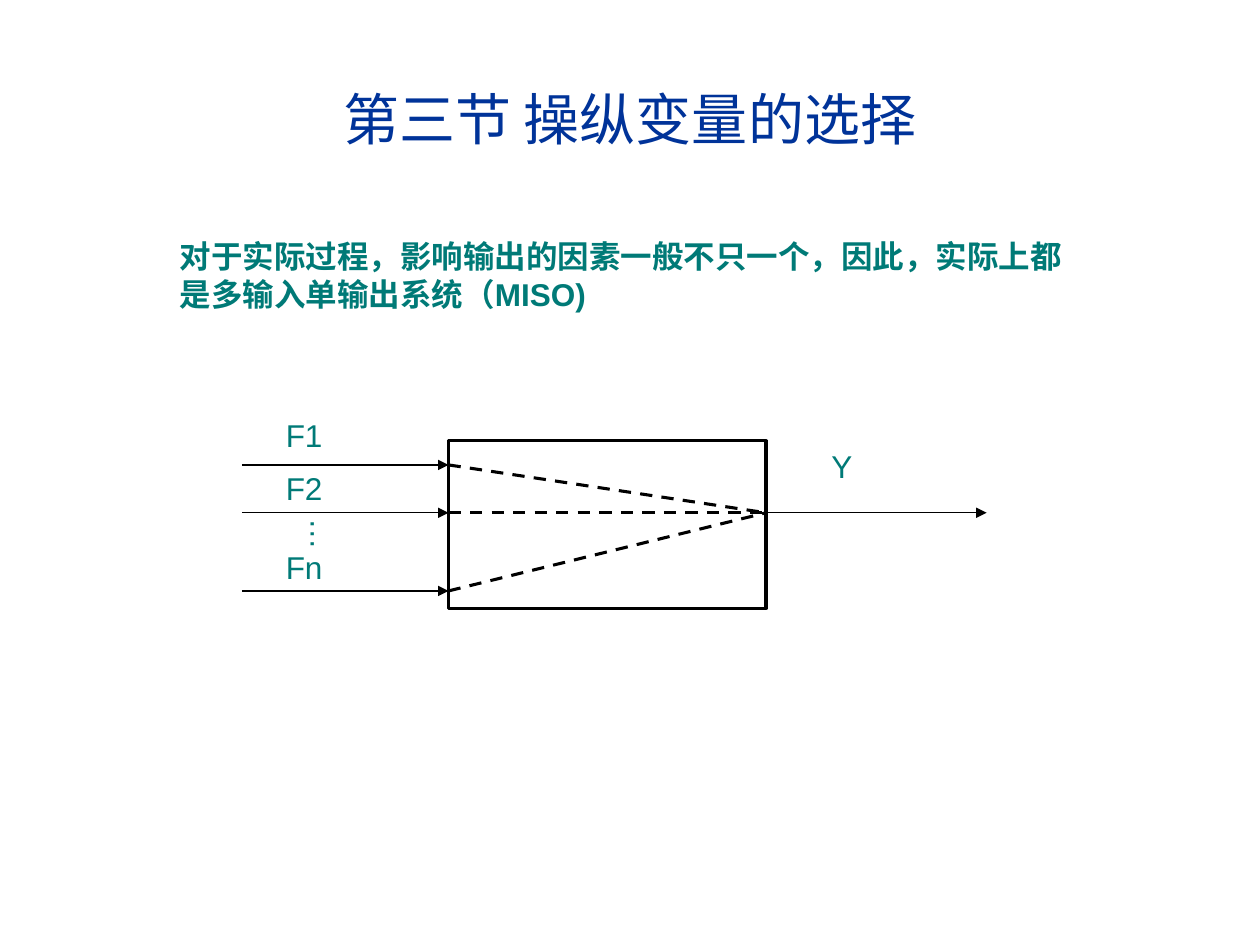
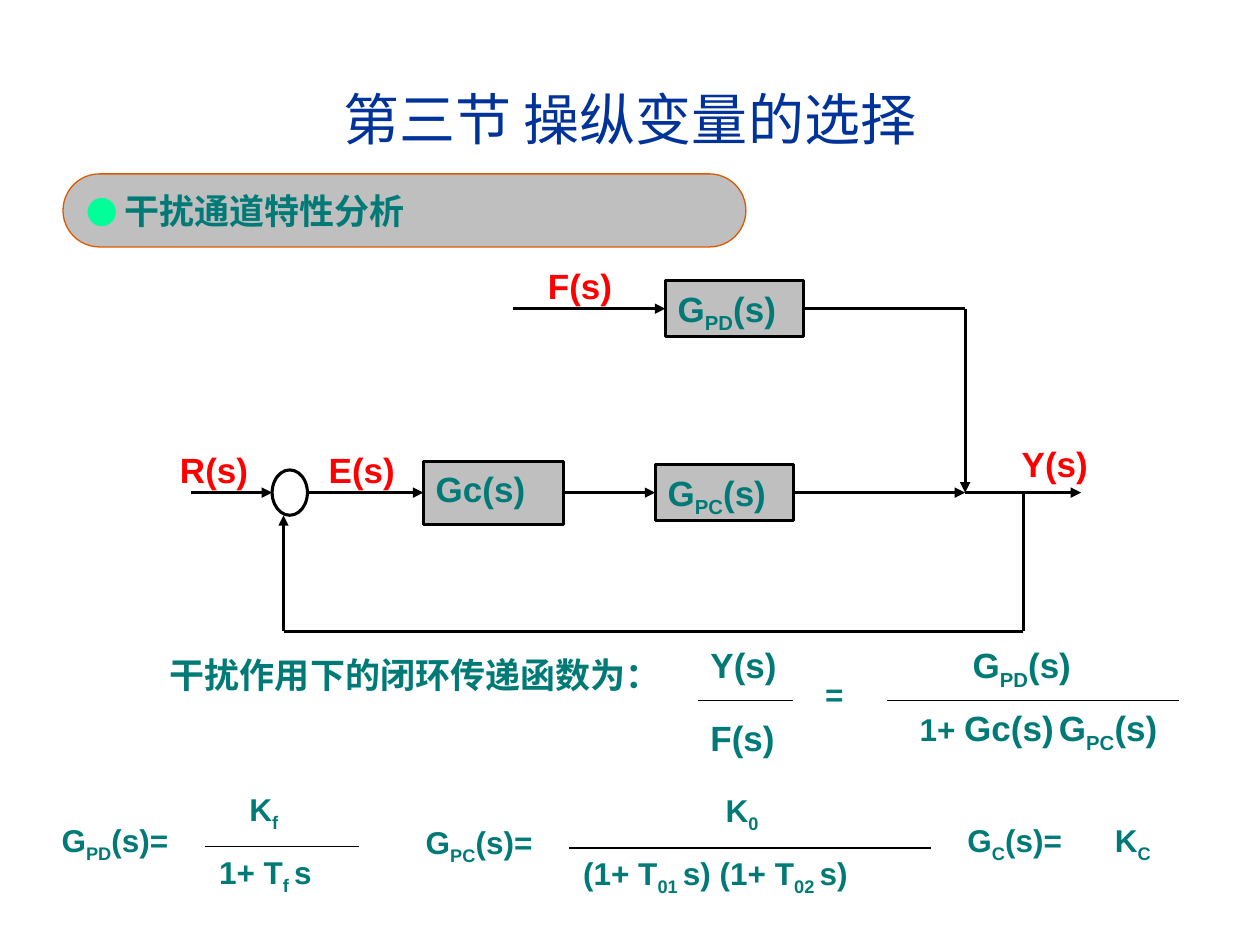
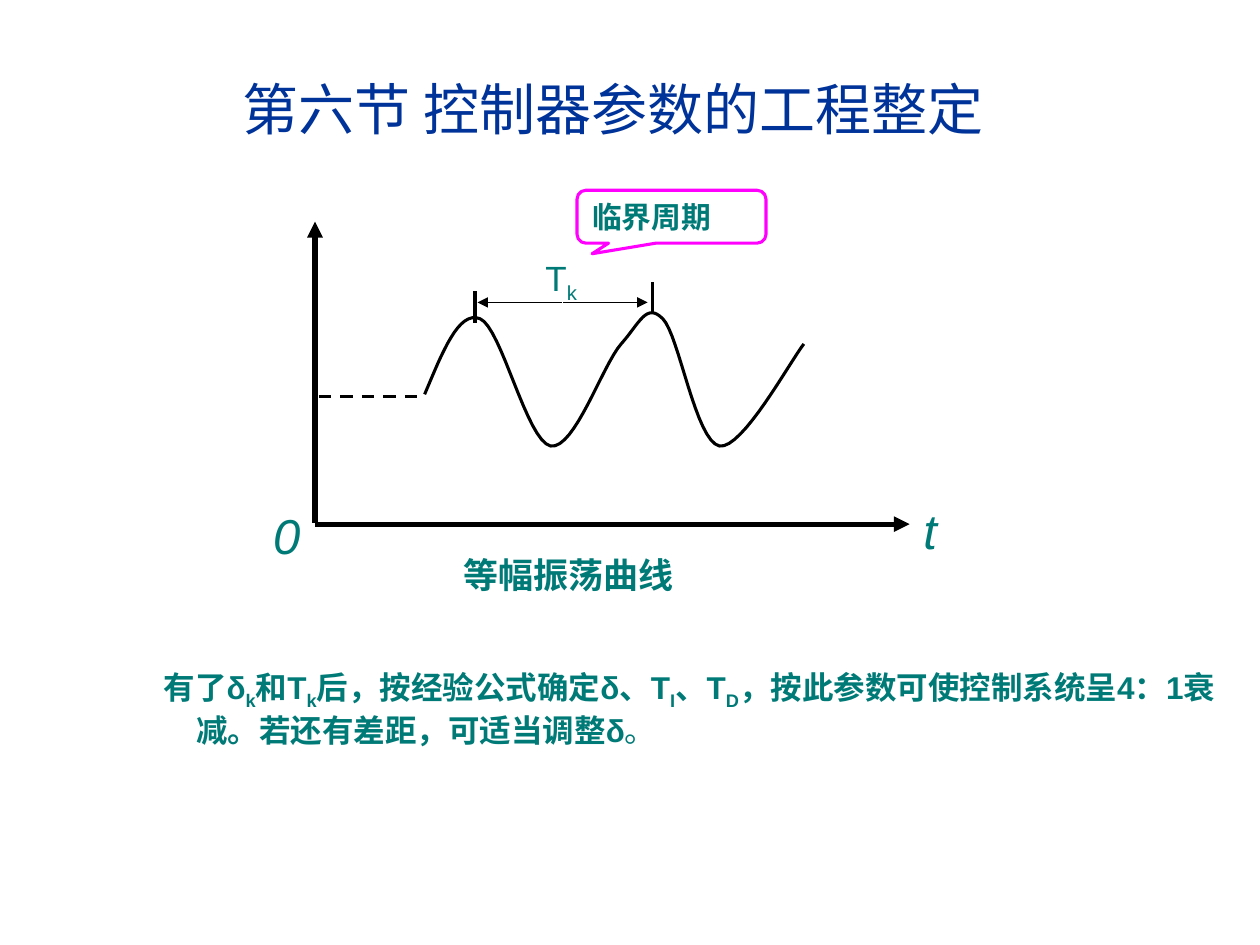
from dataclasses import dataclass

from lxml.etree import SubElement
from pptx import Presentation
from pptx.dml.color import RGBColor
from pptx.enum.dml import MSO_LINE
from pptx.enum.shapes import MSO_CONNECTOR, MSO_SHAPE
from pptx.enum.text import MSO_ANCHOR, MSO_AUTO_SIZE, PP_ALIGN
from pptx.oxml.ns import qn
from pptx.shapes.autoshape import Shape
from pptx.shapes.connector import Connector
from pptx.slide import Slide
from pptx.text.text import TextFrame
from pptx.util import Inches, Pt

LATIN = "Arial"
CHINESE = "Noto Sans CJK SC"
BLUE, TEAL, RED, BLACK = "003399", "007A77", "FF0000", "000000"
GREY, ORANGE, MINT, MAGENTA = "BFBFBF", "DC5900", "00FF99", "FF00FF"
LEFT, RIGHT = 1, 3
MAIN_Y, DISTURBANCE_Y, FEEDBACK_Y = 3.91, 2.45, 5.01
SUM_X, TAP_X, RETURN_X = 7.66, 8.12, 2.25


@dataclass(frozen=True)
class Phrase:
    marked: str
    size: float = 18
    color: str = TEAL
    bold: bool = True
    italic: bool = False
    latin: str = LATIN


@dataclass(frozen=True)
class Area:
    left: float
    top: float
    width: float
    height: float

    def lengths(self) -> tuple:
        return tuple(Inches(v) for v in (self.left, self.top, self.width, self.height))


@dataclass(frozen=True)
class Label:
    area: Area
    phrases: tuple[Phrase, ...]
    rotation: float = 0
    margin: float = 0
    first_indent: float = 0


@dataclass(frozen=True)
class Box:
    area: Area
    kind: MSO_SHAPE = MSO_SHAPE.RECTANGLE
    fill: str | None = None
    line: str = BLACK
    weight: float = 1.75
    phrases: tuple[Phrase, ...] = ()
    anchor: MSO_ANCHOR = MSO_ANCHOR.TOP
    adjustments: tuple[float, ...] = ()


@dataclass(frozen=True)
class Line:
    x1: float
    y1: float
    x2: float
    y2: float
    weight: float = 1.75
    arrow: bool = False
    dashed: bool = False


def rgb(value: str) -> RGBColor:
    return RGBColor.from_string(value)


def write(frame: TextFrame, phrases: tuple[Phrase, ...],
          align: PP_ALIGN = PP_ALIGN.LEFT) -> None:
    frame.word_wrap = True
    paragraph = frame.paragraphs[0]
    paragraph.alignment = align
    for phrase in phrases:
        for index, piece in enumerate(phrase.marked.split("_")):
            if not piece:
                continue
            run = paragraph.add_run()
            run.text = piece
            font = run.font
            font.name = phrase.latin
            font.size = Pt(phrase.size)
            font.bold = phrase.bold
            font.italic = phrase.italic
            font.color.rgb = rgb(phrase.color)
            properties = run._r.get_or_add_rPr()
            SubElement(properties, qn("a:ea")).set("typeface", CHINESE)
            if index % 2:
                properties.set("baseline", "-25000")


def add_titled_slide(prs: Presentation, text: str, area: Area, anchor: MSO_ANCHOR) -> Slide:
    slide = prs.slides.add_slide(prs.slide_layouts[5])
    title = slide.shapes.title
    title.left, title.top, title.width, title.height = area.lengths()
    frame = title.text_frame
    frame.auto_size = MSO_AUTO_SIZE.NONE
    frame.vertical_anchor = anchor
    write(frame, (Phrase(text, 32, BLUE, bold=False),), PP_ALIGN.CENTER)
    return slide


def draw_label(slide: Slide, label: Label) -> None:
    box = slide.shapes.add_textbox(*label.area.lengths())
    box.rotation = label.rotation
    write(box.text_frame, label.phrases)
    if label.margin:
        properties = box.text_frame.paragraphs[0]._p.get_or_add_pPr()
        properties.set("marL", str(Inches(label.margin)))
        properties.set("indent", str(Inches(label.first_indent)))


def outline(shape: Shape, color: str, weight: float, fill: str | None = None) -> None:
    shape.shadow.inherit = False
    if fill:
        shape.fill.solid()
        shape.fill.fore_color.rgb = rgb(fill)
    else:
        shape.fill.background()
    shape.line.color.rgb = rgb(color)
    shape.line.width = Pt(weight)


def draw_box(slide: Slide, box: Box) -> Shape:
    shape = slide.shapes.add_shape(box.kind, *box.area.lengths())
    for index, value in enumerate(box.adjustments):
        shape.adjustments[index] = value
    outline(shape, box.line, box.weight, box.fill)
    if box.phrases:
        shape.text_frame.vertical_anchor = box.anchor
        write(shape.text_frame, box.phrases)
    return shape


def draw_line(slide: Slide, line: Line, source: Shape | None = None,
              target: Shape | None = None) -> Connector:
    ends = (Inches(v) for v in (line.x1, line.y1, line.x2, line.y2))
    connector = slide.shapes.add_connector(MSO_CONNECTOR.STRAIGHT, *ends)
    connector.line.color.rgb = rgb(BLACK)
    connector.line.width = Pt(line.weight)
    if line.dashed:
        connector.line.dash_style = MSO_LINE.DASH
    if line.arrow:
        SubElement(connector.line._get_or_add_ln(), qn("a:tailEnd")).set("type", "triangle")
    SubElement(connector._element.spPr, qn("a:effectLst"))
    if source:
        connector.begin_connect(source, RIGHT)
    if target:
        connector.end_connect(target, LEFT)
    return connector


def draw_curve(slide: Slide, start: tuple[float, float],
               segments: tuple[tuple[float, ...], ...], steps: int = 16) -> None:
    points = []
    x0, y0 = start
    for x1, y1, x2, y2, x3, y3 in segments:
        for step in range(1, steps + 1):
            t = step / steps
            u = 1 - t
            weights = (u ** 3, 3 * u * u * t, 3 * u * t * t, t ** 3)
            x = sum(w * v for w, v in zip(weights, (x0, x1, x2, x3)))
            y = sum(w * v for w, v in zip(weights, (y0, y1, y2, y3)))
            points.append((Inches(x), Inches(y)))
        x0, y0 = x3, y3
    builder = slide.shapes.build_freeform(Inches(start[0]), Inches(start[1]))
    builder.add_line_segments(points, close=False)
    outline(builder.convert_to_shape(), BLACK, 1.75)


def build_miso(slide: Slide) -> None:
    left, right, output_y = 3.56, 6.08, 4.07
    draw_box(slide, Box(Area(left, 3.5, right - left, 1.33)))
    for input_y in (3.69, output_y, 4.69):
        draw_line(slide, Line(1.92, input_y, left, input_y, 0.75, arrow=True))
        draw_line(slide, Line(left, input_y, right, output_y, dashed=True))
    draw_line(slide, Line(right, output_y, 7.83, output_y, 0.75, arrow=True))

    draw_label(slide, Label(Area(1.33, 1.83, 7.33, 0.7), (
        Phrase("对于实际过程，影响输出的因素一般不只一个，因此，实际上都是多输入单输出系统（MISO)"),)))
    for text, x, y, rotation in (("F1", 2.17, 3.25, 0), ("F2", 2.17, 3.67, 0),
                                 ("Fn", 2.17, 4.3, 0), ("Y", 6.5, 3.5, 0),
                                 ("…", 2.15, 4.23, 90)):
        draw_label(slide, Label(Area(x, y, 0.83, 0.4), (Phrase(text, bold=False),), rotation))


def build_block_diagram(slide: Slide) -> None:
    controller, process, disturbance = (
        draw_box(slide, Box(area, fill=GREY, phrases=(Phrase(text, 20),)))
        for area, text in (
            (Area(3.36, 3.66, 1.11, 0.5), "Gc(s)"),
            (Area(5.2, 3.69, 1.1, 0.44), "G_PC_(s)"),
            (Area(5.28, 2.23, 1.1, 0.44), "G_PD_(s)"),
        ))
    draw_box(slide, Box(Area(2.16, 3.73, 0.28, 0.36), MSO_SHAPE.OVAL))

    for line, source, target in (
        (Line(1.52, MAIN_Y, 2.16, MAIN_Y, arrow=True), None, None),
        (Line(2.44, MAIN_Y, 3.36, MAIN_Y, arrow=True), None, controller),
        (Line(4.47, MAIN_Y, 5.2, MAIN_Y, arrow=True), controller, process),
        (Line(6.3, MAIN_Y, SUM_X, MAIN_Y, arrow=True), process, None),
        (Line(SUM_X, MAIN_Y, 8.58, MAIN_Y, arrow=True), None, None),
        (Line(TAP_X, MAIN_Y, TAP_X, FEEDBACK_Y), None, None),
        (Line(TAP_X, FEEDBACK_Y, RETURN_X, FEEDBACK_Y), None, None),
        (Line(RETURN_X, FEEDBACK_Y, RETURN_X, 4.09, arrow=True), None, None),
        (Line(4.07, DISTURBANCE_Y, 5.28, DISTURBANCE_Y, arrow=True), None, disturbance),
        (Line(6.38, DISTURBANCE_Y, SUM_X, DISTURBANCE_Y), disturbance, None),
        (Line(SUM_X, DISTURBANCE_Y, SUM_X, MAIN_Y, arrow=True), None, None),
    ):
        draw_line(slide, line, source, target)

    for signal, x, y in (("R(s)", 1.33, 3.51), ("E(s)", 2.51, 3.51),
                         ("F(s)", 4.25, 2.05), ("Y(s)", 8.01, 3.46)):
        draw_label(slide, Label(Area(x, y, 0.78, 0.55), (Phrase(signal, 20, RED),)))


def build_transfer_functions(slide: Slide) -> None:
    for x1, x2, y in ((5.54, 6.29, 5.56), (7.04, 9.36, 5.56),
                      (1.63, 2.85, 6.72), (4.52, 7.39, 6.73)):
        draw_line(slide, Line(x1, y, x2, y, 0.75))

    for x, y, width, *phrases in (
        (1.25, 5.14, 5, Phrase("干扰作用下的闭环传递函数为：", 20, latin=CHINESE)),
        (5.54, 5.06, 0.75, Phrase("Y(s)", 20)),
        (5.54, 5.64, 0.75, Phrase("F(s)", 20)),
        (6.45, 5.31, 0.5, Phrase("=")),
        (7.62, 5.06, 1.08, Phrase("G_PD_(s)", 20)),
        (7.2, 5.56, 2.25, Phrase("1+ "), Phrase("Gc(s)", 20), Phrase("_ _"),
         Phrase("G_PC_(s)", 20)),
        (0.39, 6.47, 1.33, Phrase("G_PD_(s)=")),
        (1.88, 6.22, 0.75, Phrase("K_f_")),
        (1.64, 6.72, 1.17, Phrase("1+ T_f _s")),
        (3.28, 6.48, 1.48, Phrase("G_PC_(s)=")),
        (5.66, 6.23, 0.75, Phrase("K_0_")),
        (4.53, 6.73, 2.81, Phrase("(1+ T_01 _s) (1+ T_02 _s)")),
        (7.58, 6.47, 1.33, Phrase("G_C_(s)=")),
        (8.75, 6.47, 0.75, Phrase("K_C_")),
    ):
        draw_label(slide, Label(Area(x, y, width, 0.44), tuple(phrases)))


def build_disturbance(slide: Slide) -> None:
    draw_box(slide, Box(Area(0.5, 1.38, 5.42, 0.58), MSO_SHAPE.ROUNDED_RECTANGLE, GREY,
                        ORANGE, 0.75,
                        (Phrase("● ", 18, MINT, bold=False), Phrase("干扰通道特性分析", 20)),
                        MSO_ANCHOR.MIDDLE, (0.5,)))
    build_block_diagram(slide)
    build_transfer_functions(slide)


def build_oscillation(slide: Slide) -> None:
    draw_curve(slide, (3.37, 3.13), (
        (3.51, 2.8, 3.64, 2.46, 3.81, 2.53),
        (3.98, 2.6, 4.18, 3.5, 4.37, 3.54),
        (4.56, 3.57, 4.78, 2.9, 4.93, 2.73),
        (5.08, 2.56, 5.13, 2.4, 5.26, 2.53),
        (5.39, 2.66, 5.52, 3.5, 5.71, 3.54),
        (5.89, 3.57, 6.27, 2.87, 6.38, 2.73),
    ))
    for line in (
        Line(2.5, 4.16, 7.22, 4.16, 3, arrow=True),
        Line(2.5, 4.15, 2.5, 1.76, 3, arrow=True),
        Line(2.53, 3.15, 3.36, 3.15, dashed=True),
        Line(5.18, 2.24, 5.18, 2.49),
        Line(3.77, 2.31, 3.77, 2.56),
        Line(4.46, 2.4, 3.79, 2.4, 0.75, arrow=True),
        Line(4.47, 2.4, 5.14, 2.4, 0.75, arrow=True),
    ):
        draw_line(slide, line)

    for label in (
        Label(Area(2.07, 3.96, 0.43, 0.57), (Phrase("0", 28, bold=False, italic=True),)),
        Label(Area(7.23, 3.92, 0.33, 0.57), (Phrase("t", 28, bold=False, italic=True),)),
        Label(Area(4.23, 1.99, 0.55, 0.48), (Phrase("T_k_", 20, bold=False),)),
        Label(Area(3.58, 4.34, 2, 0.5), (Phrase("等幅振荡曲线", 20),)),
        Label(Area(1.08, 5.25, 8.75, 1), (
            Phrase("有了δ_k_和T_k_后，按经验公式确定δ、T_I_、T_D_"
                   "，按此参数可使控制系统呈4：1衰减。若还有差距，可适当调整δ"),
            Phrase("。", bold=False)), margin=0.38, first_indent=-0.26),
    ):
        draw_label(slide, label)

    draw_box(slide, Box(Area(4.58, 1.51, 1.5, 0.42), MSO_SHAPE.ROUNDED_RECTANGULAR_CALLOUT,
                        line=MAGENTA, phrases=(Phrase("临界周期", 17),),
                        adjustments=(-0.42, 0.7, 0.167)))


def main() -> None:
    prs = Presentation()
    prs.slide_width, prs.slide_height = Inches(10), Inches(7.5)
    section_area = Area(0.33, 0.31, 9.34, 1.25)
    for build in (build_miso, build_disturbance):
        build(add_titled_slide(prs, "第三节 操纵变量的选择", section_area, MSO_ANCHOR.MIDDLE))
    build_oscillation(add_titled_slide(prs, "第六节 控制器参数的工程整定",
                                       Area(0.44, 0.54, 8.86, 0.87), MSO_ANCHOR.TOP))
    prs.save("out.pptx")


if __name__ == "__main__":
    main()
